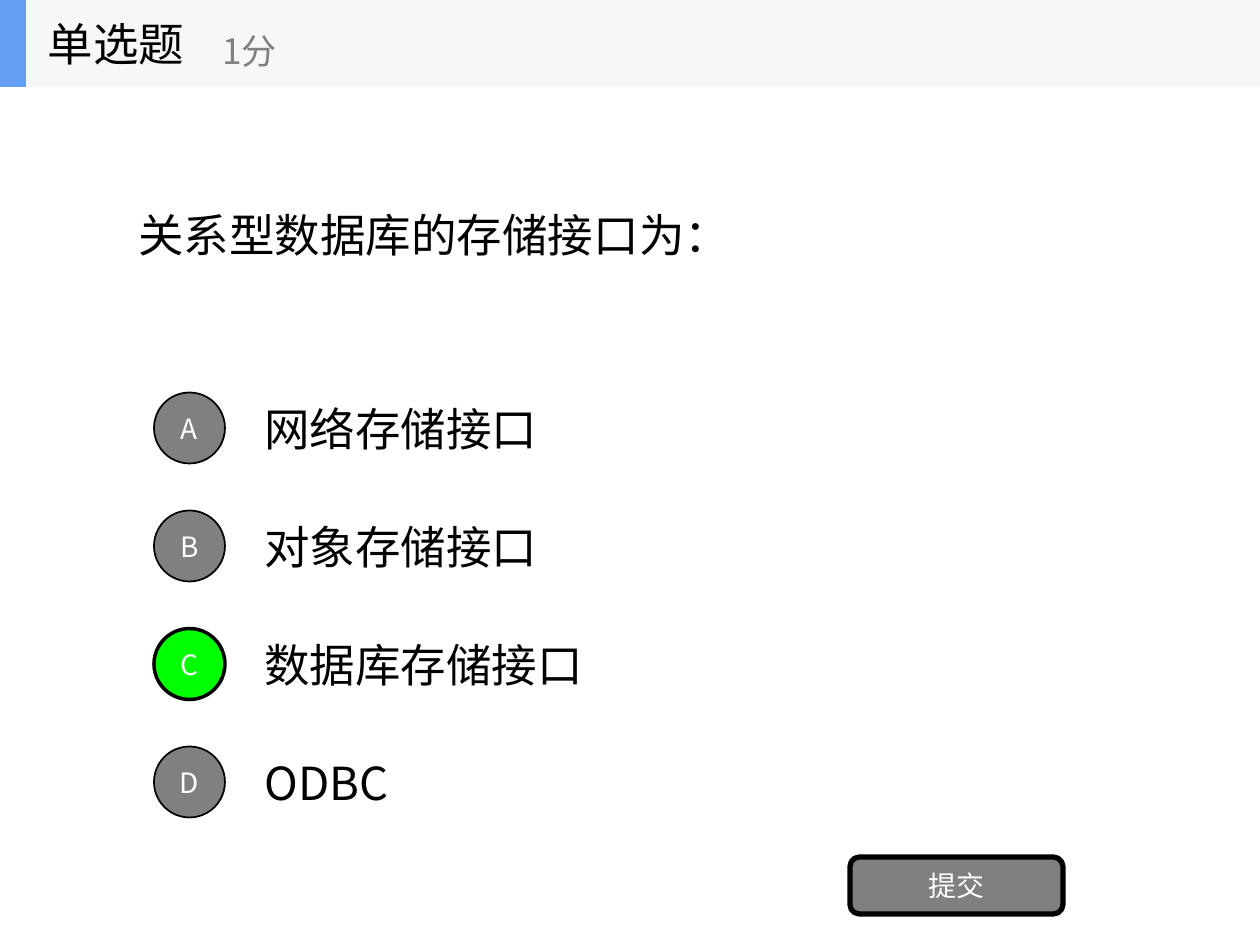
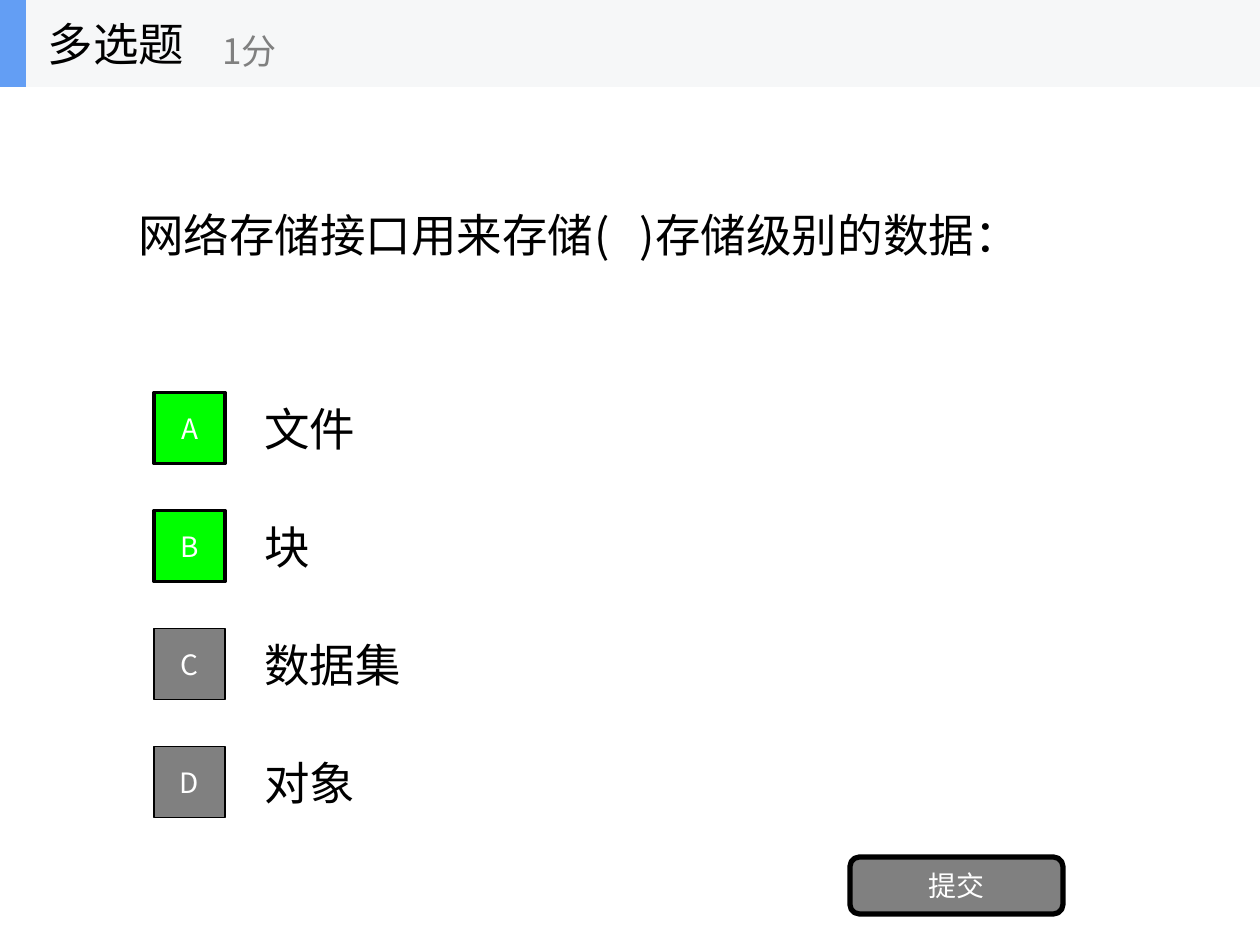
from lxml.etree import SubElement
from pptx import Presentation
from pptx.dml.color import RGBColor
from pptx.enum.shapes import MSO_SHAPE
from pptx.enum.text import MSO_ANCHOR, MSO_AUTO_SIZE, PP_ALIGN
from pptx.oxml.ns import qn
from pptx.util import Emu, Pt

PX_PER_INCH = 126
FONT = "Noto Sans CJK SC"
BLACK, WHITE, GREY = "000000", "FFFFFF", "808080"
BAND, ACCENT, CORRECT = "F6F7F8", "639EF4", "00FF00"
BODY_SIZE, SCORE_SIZE, BUTTON_SIZE = 26, 20, 16
TITLE_ONLY = 5

# Regions as left, top, width, height in px
HEADER = (0, 0, 1260, 87)
QUESTION = (126, 87, 1008, 295)
OPTIONS = (154, 384, 980, 442)
SUBMIT = (850, 857, 213, 57)


def px(length):
    return Emu(round(length * 914400 / PX_PER_INCH))


def color(hex_code):
    return RGBColor.from_string(hex_code)


def write(shape, text, size, hex_code, align=PP_ALIGN.LEFT, wrap=True):
    frame = shape.text_frame
    frame.auto_size = MSO_AUTO_SIZE.NONE
    frame.word_wrap = wrap
    frame.vertical_anchor = MSO_ANCHOR.MIDDLE
    paragraph = frame.paragraphs[0]
    paragraph.alignment = align
    run = paragraph.add_run()
    run.text = text
    run.font.size = Pt(size)
    run.font.name = FONT
    run.font.color.rgb = color(hex_code)
    # East Asian characters take their own typeface entry
    SubElement(run.font._element, qn("a:ea"), typeface=FONT)


def add_text(shapes, box, text, size, hex_code, wrap=True):
    label = shapes.add_textbox(*map(px, box))
    write(label, text, size, hex_code, wrap=wrap)


def add_block(shapes, kind, box, fill, line_width=0):
    block = shapes.add_shape(kind, *map(px, box))
    block.shadow.inherit = False
    block.fill.solid()
    block.fill.fore_color.rgb = color(fill)
    if line_width:
        block.line.color.rgb = color(BLACK)
        block.line.width = Pt(line_width)
    else:
        block.line.fill.background()
    return block


def add_button(shapes, kind, box, text, fill, line_width):
    button = add_block(shapes, kind, box, fill, line_width)
    frame = button.text_frame
    frame.margin_left = frame.margin_right = 0
    write(button, text, BUTTON_SIZE, WHITE, PP_ALIGN.CENTER)


def add_header(slide, box, question_type, score):
    left, top, width, height = box
    # Band with its accent at the left end
    band = slide.shapes.add_group_shape()
    add_block(band.shapes, MSO_SHAPE.RECTANGLE, box, BAND)
    add_block(band.shapes, MSO_SHAPE.RECTANGLE, (left, top, 26, height), ACCENT)

    # Title, brought in front of the band
    title = slide.shapes.title
    title.left, title.top, title.width, title.height = map(
        px, (left + 35, top, 262, height))
    write(title, question_type, BODY_SIZE, BLACK, wrap=False)
    band.element.addnext(title.element)

    add_text(slide.shapes, (left + 210, top + 15, 315, 71), score,
             SCORE_SIZE, GREY, wrap=False)


def add_options(slide, box, options, answers, badge_kind):
    left, top, width, height = box
    row_height, badge_size, text_offset = 88, 71, 98
    pitch = (height - row_height) / (len(options) - 1)
    for row, (letter, option) in enumerate(zip("ABCD", options)):
        row_top = top + row * pitch
        add_text(slide.shapes,
                 (left + text_offset, row_top, width - text_offset, row_height),
                 option, BODY_SIZE, BLACK)
        correct = letter in answers
        badge_top = row_top + (row_height - badge_size) / 2
        add_button(slide.shapes, badge_kind,
                   (left, badge_top, badge_size, badge_size), letter,
                   CORRECT if correct else GREY, 2 if correct else 1)


def add_quiz_slide(deck, question_type, question, options, answers, badge_kind):
    slide = deck.slides.add_slide(deck.slide_layouts[TITLE_ONLY])
    add_text(slide.shapes, QUESTION, question, BODY_SIZE, BLACK)
    add_options(slide, OPTIONS, options, answers, badge_kind)
    add_button(slide.shapes, MSO_SHAPE.ROUNDED_RECTANGLE, SUBMIT, "提交", GREY, 3)
    add_header(slide, HEADER, question_type, "1分")


def main():
    deck = Presentation()
    deck.slide_width, deck.slide_height = px(1260), px(945)
    add_quiz_slide(deck, "单选题", "关系型数据库的存储接口为：",
                   ["网络存储接口", "对象存储接口", "数据库存储接口", "ODBC"],
                   "C", MSO_SHAPE.OVAL)
    add_quiz_slide(deck, "多选题", "网络存储接口用来存储(   )存储级别的数据：",
                   ["文件", "块", "数据集", "对象"],
                   "AB", MSO_SHAPE.RECTANGLE)
    deck.save("out.pptx")


if __name__ == "__main__":
    main()
